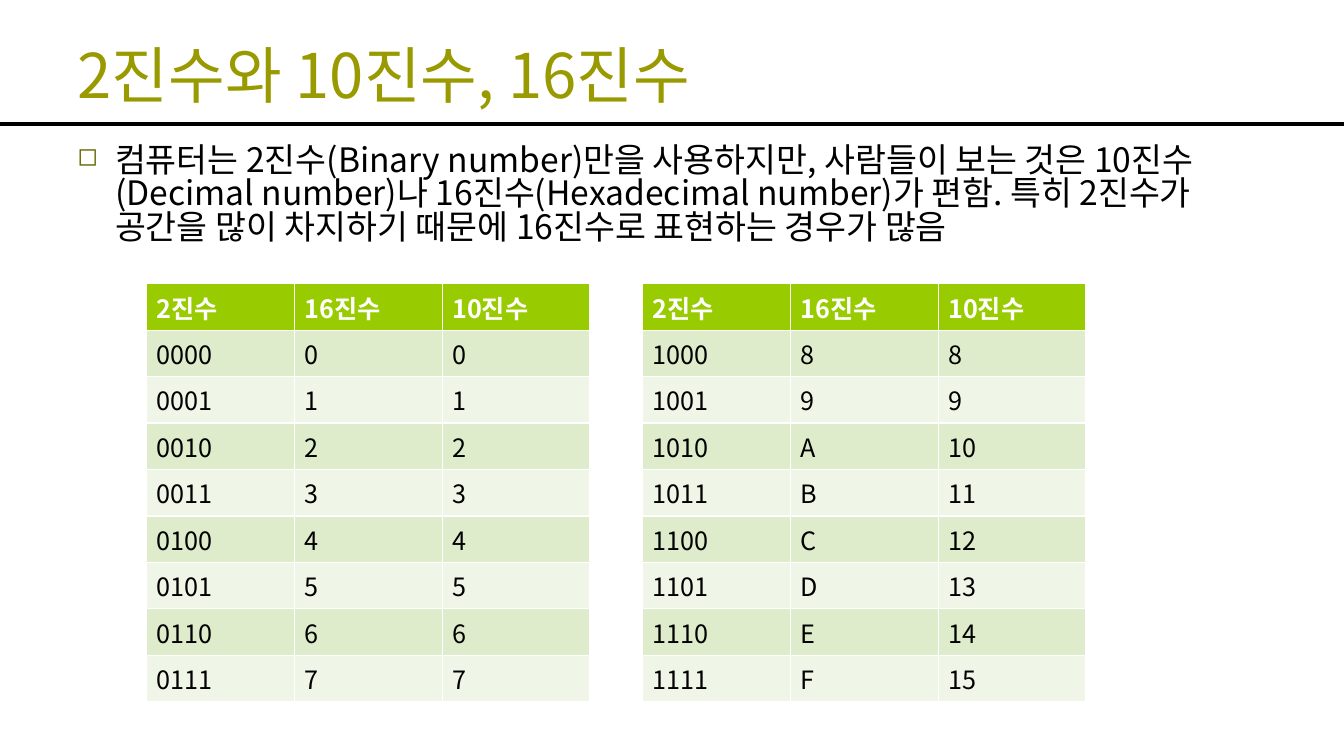
from lxml.etree import SubElement
from pptx import Presentation
from pptx.dml.color import RGBColor
from pptx.enum.shapes import MSO_CONNECTOR
from pptx.enum.text import MSO_ANCHOR, MSO_AUTO_SIZE, PP_ALIGN
from pptx.oxml.ns import qn
from pptx.util import Cm, Pt

FONT = "Noto Sans CJK KR"
OLIVE = RGBColor(0x99, 0x99, 0x00)
BLACK = RGBColor(0x00, 0x00, 0x00)
WHITE = RGBColor(0xFF, 0xFF, 0xFF)
LIME = RGBColor(0x99, 0xCC, 0x00)
BANDS = (RGBColor(0xDE, 0xEC, 0xCC), RGBColor(0xEF, 0xF6, 0xE7))
BULLET_COLOR = "666600"

SLIDE_WIDTH, SLIDE_HEIGHT = Cm(33.87), Cm(19.05)
HEADERS = ("2진수", "16진수", "10진수")
ROWS_PER_TABLE = 8
EXPLANATION = (
    "컴퓨터는 2진수(Binary number)만을 사용하지만, 사람들이 보는 것은 "
    "10진수(Decimal number)나 16진수(Hexadecimal number)가 편함. "
    "특히 2진수가 공간을 많이 차지하기 때문에 16진수로 표현하는 경우가 많음"
)


def add_run(paragraph, text, size, color, bold=False):
    run = paragraph.add_run()
    run.text = text
    run.font.size = Pt(size)
    run.font.bold = bold
    run.font.name = FONT
    run.font.color.rgb = color
    SubElement(run.font._element, qn("a:ea"), typeface=FONT)


def add_title(slide, left, top, width, height):
    title = slide.shapes.title
    title.left, title.top, title.width, title.height = left, top, width, height
    frame = title.text_frame
    frame.auto_size = MSO_AUTO_SIZE.NONE
    frame.vertical_anchor = MSO_ANCHOR.BOTTOM
    paragraph = frame.paragraphs[0]
    paragraph.alignment = PP_ALIGN.LEFT
    add_run(paragraph, "2진수와 10진수, 16진수", 44, OLIVE)


def add_rule(slide, left, top, width):
    rule = slide.shapes.add_connector(
        MSO_CONNECTOR.STRAIGHT, left, top, left + width, top
    )
    rule.line.color.rgb = BLACK
    rule.line.width = Pt(3)
    SubElement(rule._element.spPr, qn("a:effectLst"))


def add_explanation(slide, left, top, width, height):
    frame = slide.shapes.add_textbox(left, top, width, height).text_frame
    frame.word_wrap = True
    paragraph = frame.paragraphs[0]
    paragraph.line_spacing = 0.84
    properties = paragraph._p.get_or_add_pPr()
    properties.set("marL", str(Cm(0.95)))
    properties.set("indent", str(-Cm(0.95)))
    bullet_color = SubElement(properties, qn("a:buClr"))
    SubElement(bullet_color, qn("a:srgbClr"), val=BULLET_COLOR)
    SubElement(properties, qn("a:buSzPct"), val="75000")
    SubElement(properties, qn("a:buChar"), char="◻")
    add_run(paragraph, EXPLANATION, 24, BLACK)


def add_number_table(slide, left, top, width, height, first):
    numbers = range(first, first + ROWS_PER_TABLE)
    rows = [HEADERS] + [(f"{n:04b}", f"{n:X}", str(n)) for n in numbers]
    table = slide.shapes.add_table(
        len(rows), len(HEADERS), left, top, width, height
    ).table
    for row_index, values in enumerate(rows):
        is_header = row_index == 0
        for column_index, value in enumerate(values):
            cell = table.cell(row_index, column_index)
            cell.fill.solid()
            cell.fill.fore_color.rgb = (
                LIME if is_header else BANDS[(row_index - 1) % 2]
            )
            color = WHITE if is_header else BLACK
            add_run(cell.text_frame.paragraphs[0], value, 18, color, is_header)


def build_number_slide(presentation):
    slide = presentation.slides.add_slide(presentation.slide_layouts[5])
    add_rule(slide, Cm(0), Cm(3.12), SLIDE_WIDTH)
    add_title(slide, Cm(1.7), Cm(0.76), Cm(30.48), Cm(2.16))
    add_explanation(slide, Cm(1.7), Cm(3.53), Cm(30.48), Cm(13.51))
    for index in range(2):
        left = Cm(3.69) + index * Cm(12.5)
        add_number_table(
            slide, left, Cm(7.15), Cm(11.18), Cm(10.53), index * ROWS_PER_TABLE
        )


def main():
    presentation = Presentation()
    presentation.slide_width = SLIDE_WIDTH
    presentation.slide_height = SLIDE_HEIGHT
    build_number_slide(presentation)
    presentation.save("out.pptx")


if __name__ == "__main__":
    main()
